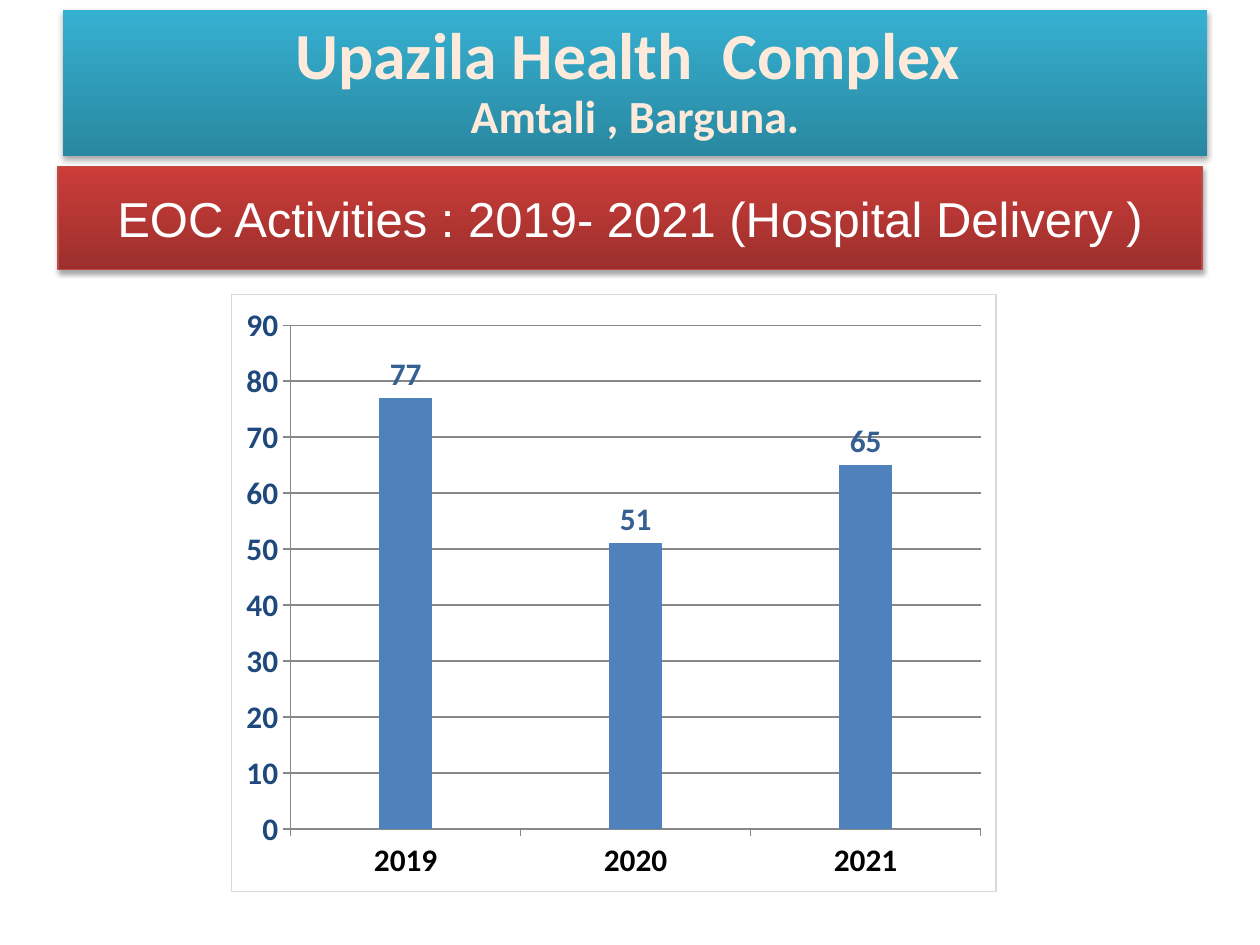
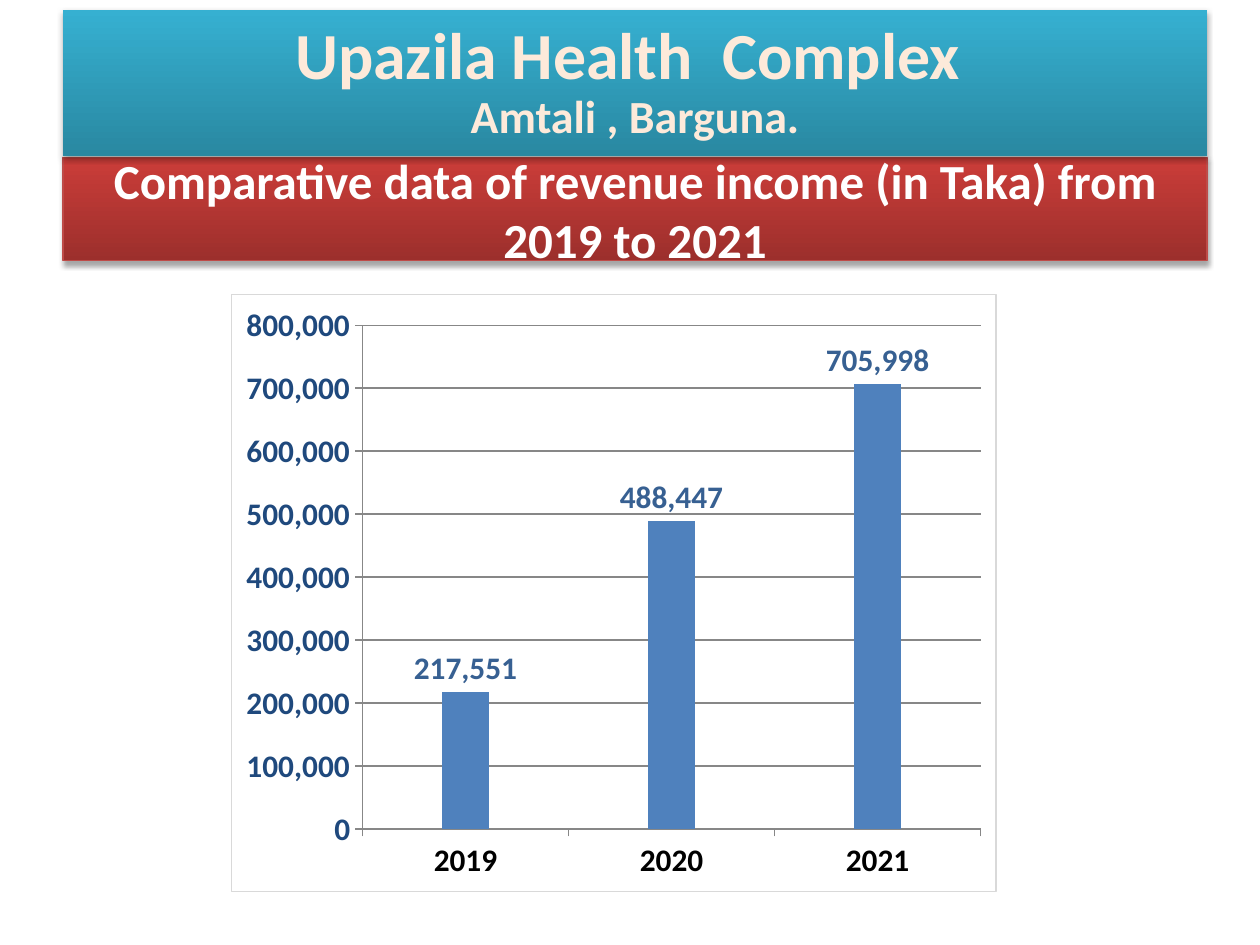
from lxml import etree
from pptx import Presentation
from pptx import util as u
from pptx.chart.data import CategoryChartData
from pptx.dml.color import RGBColor
from pptx.enum import chart as ch, shapes, text
from pptx.oxml import parse_xml
from pptx.oxml.ns import qn

COLORS = {
    "header_low": "2988A1", "header_high": "36B0D1", "header_text": "FDEADA",
    "topic_low": "9C2F2C", "topic_high": "CB3D39", "topic_line": "BE4B48",
    "white": "FFFFFF", "black": "000000", "axis_text": "1F497D",
    "axis_line": "878787", "bar": "4F81BD", "bar_label": "376092",
    "chart_border": "D9D9D9",
}
NS = ('xmlns:a="http://schemas.openxmlformats.org/drawingml/2006/main" '
      'xmlns:c="http://schemas.openxmlformats.org/drawingml/2006/chart"')
YEARS = ["2019", "2020", "2021"]
BAND_WIDTH = 9.08


def rgb(name):
    return RGBColor.from_string(COLORS[name])


class Deck:
    def __init__(self):
        self.prs = Presentation()
        self.prs.slide_width = u.Inches(10)
        self.prs.slide_height = u.Inches(7.5)
        self.slide = None

    def new_slide(self):
        self.slide = self.prs.slides.add_slide(self.prs.slide_layouts[5])

    def font(self, font, size, color, bold=True, face="Calibri"):
        font.size = u.Pt(size)
        font.color.rgb = rgb(color)
        font.bold = bold
        font.name = face

    def line(self, line, color):
        line.color.rgb = rgb(color)
        line.width = u.Pt(0.75)

    def band(self, shape, low, high):
        shape.fill.gradient()
        shape.fill.gradient_angle = 90
        for stop, color in zip(shape.fill.gradient_stops, (low, high)):
            stop.color.rgb = rgb(color)
        shape.shadow.inherit = False
        effects = shape._element.spPr.find(qn("a:effectLst"))
        effects.append(parse_xml(
            f'<a:outerShdw {NS} blurRad="40000" dist="23000" dir="5400000" '
            f'rotWithShape="0"><a:srgbClr val="{COLORS["black"]}">'
            '<a:alpha val="35000"/></a:srgbClr></a:outerShdw>'))
        frame = shape.text_frame
        frame.word_wrap = True
        frame.auto_size = text.MSO_AUTO_SIZE.NONE
        frame.vertical_anchor = text.MSO_ANCHOR.MIDDLE

    def header(self):
        header = self.slide.shapes.add_shape(
            shapes.MSO_SHAPE.RECTANGLE, u.Inches(0.5), u.Inches(0.08),
            u.Inches(BAND_WIDTH), u.Inches(1.16))
        self.band(header, "header_low", "header_high")
        header.line.fill.background()
        header.text_frame.text = "Upazila Health  Complex \vAmtali , Barguna."
        paragraph = header.text_frame.paragraphs[0]
        paragraph.alignment = text.PP_ALIGN.CENTER
        paragraph.line_spacing = 0.9
        for run, size in zip(paragraph.runs, (37.6, 26.3)):
            self.font(run.font, size, "header_text")

    def topic(self, wording, left, top, bold, face):
        topic = self.slide.shapes.title
        topic.left, topic.top = u.Inches(left), u.Inches(top)
        topic.width, topic.height = u.Inches(BAND_WIDTH), u.Inches(0.82)
        self.band(topic, "topic_low", "topic_high")
        self.line(topic.line, "topic_line")
        topic.text_frame.text = wording
        paragraph = topic.text_frame.paragraphs[0]
        paragraph.alignment = text.PP_ALIGN.CENTER
        self.font(paragraph.runs[0].font, 28, "white", bold, face)

    def axis(self, axis, color, number_format):
        axis.major_tick_mark = ch.XL_TICK_MARK.OUTSIDE
        axis.minor_tick_mark = ch.XL_TICK_MARK.NONE
        axis.tick_labels.number_format = number_format
        axis.tick_labels.number_format_is_linked = False
        self.font(axis.tick_labels.font, 17.9, color)
        self.line(axis.format.line, "axis_line")

    def yearly_chart(self, values, top, step):
        data = CategoryChartData(number_format="#,##0")
        data.categories = YEARS
        data.add_series("Series 1", values)
        chart = self.slide.shapes.add_chart(
            ch.XL_CHART_TYPE.COLUMN_CLUSTERED, u.Inches(1.83), u.Inches(2.33),
            u.Inches(6.08), u.Inches(4.75), data).chart
        chart.has_title = False
        chart.has_legend = False
        self.font(chart.font, 10, "black", False, "Arial")
        self.axis(chart.category_axis, "black", "General")
        scale = chart.value_axis
        self.axis(scale, "axis_text", "#,##0")
        scale.minimum_scale, scale.maximum_scale = 0, top
        scale.major_unit = step
        self.line(scale.major_gridlines.format.line, "axis_line")

        plot = chart.plots[0]
        plot.gap_width = 335
        plot.vary_by_categories = False
        bars = plot.series[0]
        bars.format.fill.solid()
        bars.format.fill.fore_color.rgb = rgb("bar")
        labels = bars.data_labels
        labels.show_value = True
        labels.position = ch.XL_LABEL_POSITION.OUTSIDE_END
        labels.number_format = "#,##0"
        labels.number_format_is_linked = False
        self.font(labels.font, 17.9, "bar_label")

        border = etree.fromstring(
            f'<c:spPr {NS}><a:noFill/><a:ln w="9525"><a:solidFill>'
            f'<a:srgbClr val="{COLORS["chart_border"]}"/>'
            '</a:solidFill></a:ln></c:spPr>')
        chart._chartSpace.find(qn("c:chart")).addnext(border)


def main():
    deck = Deck()

    deck.new_slide()
    deck.topic("EOC Activities : 2019- 2021 (Hospital Delivery )",
               0.46, 1.32, False, "Arial")
    deck.yearly_chart([77, 51, 65], 90, 10)
    deck.header()

    deck.new_slide()
    deck.topic("Comparative data of revenue income (in Taka) from 2019 to 2021",
               0.5, 1.25, True, "Calibri")
    deck.yearly_chart([217551, 488447, 705998], 800000, 100000)
    deck.header()

    deck.prs.save("out.pptx")


if __name__ == "__main__":
    main()
